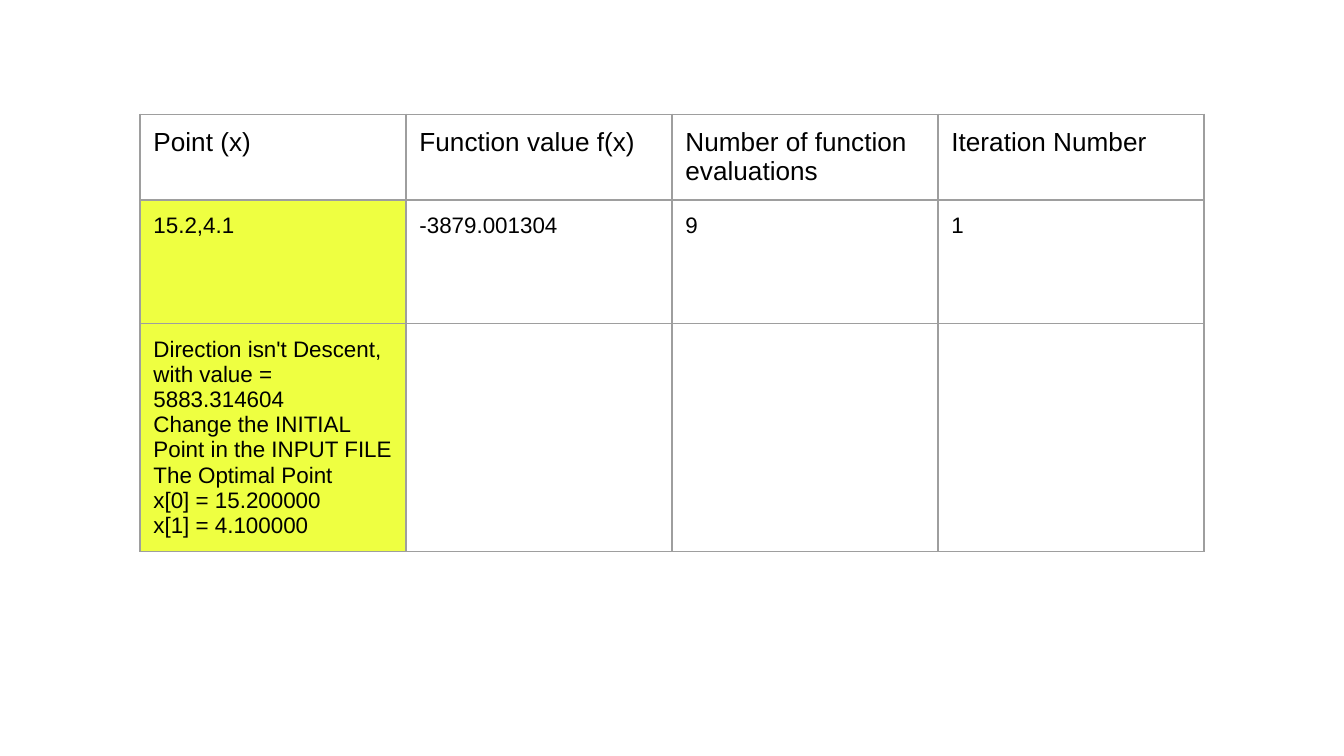
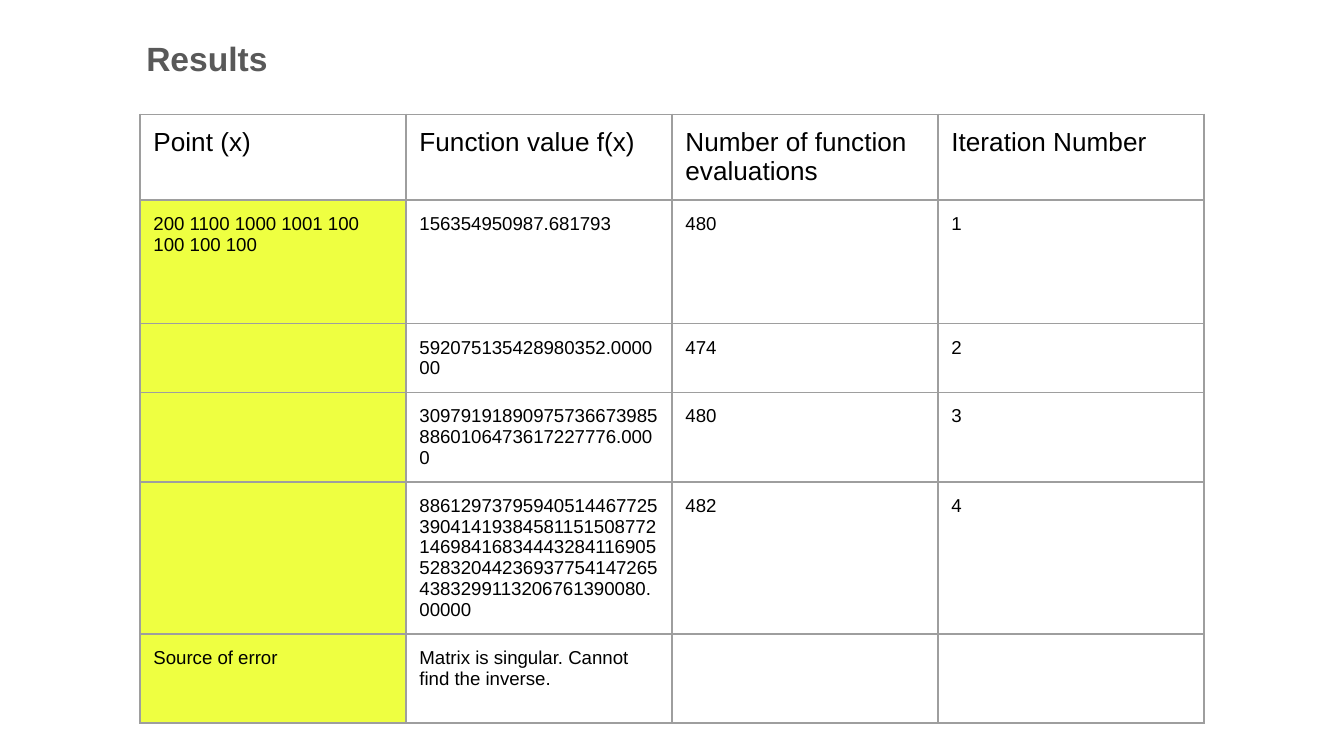
from dataclasses import dataclass

from lxml import etree
from pptx import Presentation
from pptx.dml.color import RGBColor
from pptx.enum.text import MSO_AUTO_SIZE
from pptx.oxml.ns import qn
from pptx.util import Pt

GROW_TO_FIT = MSO_AUTO_SIZE.SHAPE_TO_FIT_TEXT


@dataclass(frozen=True)
class Theme:
    font: str = "Arial"
    ink: str = "000000"
    heading: str = "595959"
    highlight: str = "EEFF41"
    border: str = "9E9E9E"
    border_width: float = 0.75
    heading_size: int = 18
    header_size: int = 14
    inset: float = 7.2


THEME = Theme()
COLUMN_WIDTH = 142.5
HEADER = ["Point (x)", "Function value f(x)", "Number of function evaluations", "Iteration Number"]


def write_text(frame, text, size, color, bold=False):
    """Fill a text frame, one paragraph per line, with even insets."""
    frame.margin_left = frame.margin_right = Pt(THEME.inset)
    frame.margin_top = frame.margin_bottom = Pt(THEME.inset)
    frame.word_wrap = True
    frame.text = text
    for paragraph in frame.paragraphs:
        for run in paragraph.runs:
            run.font.name = THEME.font
            run.font.size = Pt(size)
            run.font.bold = bold
            run.font.color.rgb = RGBColor.from_string(color)


def add_results_table(slide, results, row_heights, body_size):
    """Add a bordered table whose first column is highlighted below the header."""
    rows = [HEADER] + results
    table = slide.shapes.add_table(
        len(rows), len(HEADER), Pt(75), Pt(61.2),
        Pt(COLUMN_WIDTH * len(HEADER)), Pt(sum(row_heights))).table
    table.first_row = table.horz_banding = False
    for column in table.columns:
        column.width = Pt(COLUMN_WIDTH)
    for row_index, (values, height) in enumerate(zip(rows, row_heights)):
        table.rows[row_index].height = Pt(height)
        size = body_size if row_index else THEME.header_size
        for column_index, value in enumerate(values):
            cell = table.cell(row_index, column_index)
            write_text(cell.text_frame, value, size, THEME.ink)
            cell.margin_left = cell.margin_right = Pt(THEME.inset)
            cell.margin_top = cell.margin_bottom = Pt(THEME.inset)

            # Borders come before the fill in the cell properties
            properties = cell._tc.get_or_add_tcPr()
            for side in ("a:lnL", "a:lnR", "a:lnT", "a:lnB"):
                line = etree.SubElement(properties, qn(side), w=str(Pt(THEME.border_width)))
                solid = etree.SubElement(line, qn("a:solidFill"))
                etree.SubElement(solid, qn("a:srgbClr"), val=THEME.border)

            if row_index and column_index == 0:
                cell.fill.solid()
                cell.fill.fore_color.rgb = RGBColor.from_string(THEME.highlight)
            else:
                cell.fill.background()


prs = Presentation()
prs.slide_width, prs.slide_height = Pt(720), Pt(405)
blank = prs.slide_layouts[6]

# Slide 1: run that stops after one iteration
stopped_run = prs.slides.add_slide(blank)
stop_message = "\n".join([
    "Direction isn't Descent, with value = 5883.314604",
    "Change the INITIAL Point in the INPUT FILE",
    "The Optimal Point",
    "x[0] = 15.200000",
    "x[1] = 4.100000",
])
add_results_table(stopped_run, [
    ["15.2,4.1", "-3879.001304", "9", "1"],
    [stop_message, "", "", ""],
], [30, 66.4, 30], body_size=12)

# Slide 2: run that ends with a singular matrix
singular_run = prs.slides.add_slide(blank)
add_results_table(singular_run, [
    ["200 1100 1000 1001 100 100 100 100", "156354950987.681793", "480", "1"],
    ["", "592075135428980352.000000", "474", "2"],
    ["", "309791918909757366739858860106473617227776.0000", "480", "3"],
    ["", "886129737959405144677253904141938458115150877214698416834443284116905"
         "528320442369377541472654383299113206761390080.00000", "482", "4"],
    ["Source of error", "Matrix is singular. Cannot find the inverse.", "", ""],
], [30, 66.4, 30, 30, 30, 47.7], body_size=10)

# Slide 2: heading
heading = singular_run.shapes.add_textbox(Pt(71.3), Pt(13), Pt(327), Pt(36))
write_text(heading.text_frame, "Results", THEME.heading_size, THEME.heading, bold=True)
heading.text_frame.auto_size = GROW_TO_FIT

prs.save("out.pptx")
